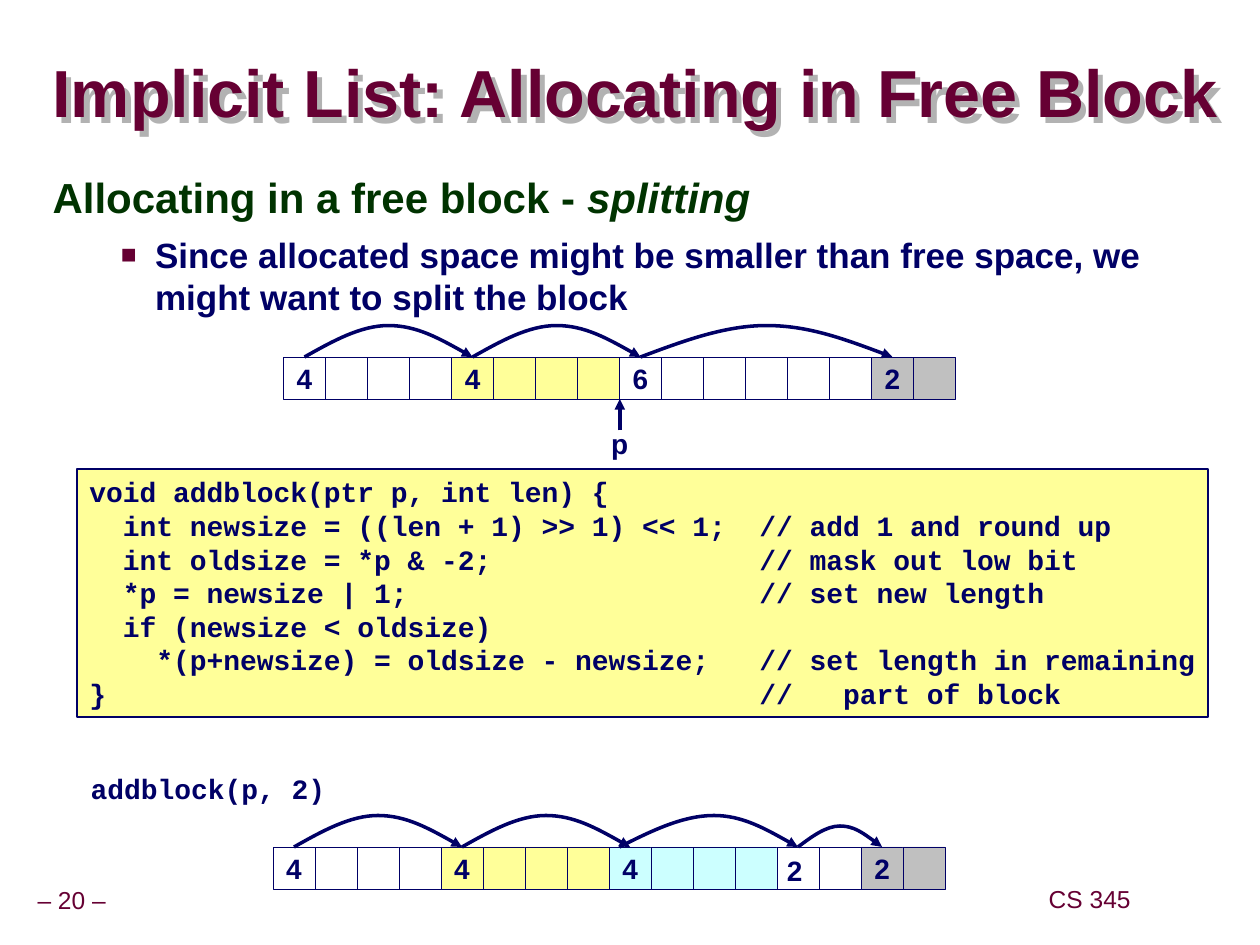
import lxml.etree
import pptx
import pptx.dml.color
import pptx.enum.shapes
import pptx.enum.text
import pptx.oxml
import pptx.oxml.ns
import pptx.util

Pt = pptx.util.Pt
RGB = pptx.dml.color.RGBColor
ALIGN = pptx.enum.text.PP_ALIGN
MIDDLE = pptx.enum.text.MSO_ANCHOR.MIDDLE
RECT = pptx.enum.shapes.MSO_SHAPE.RECTANGLE
qn = pptx.oxml.ns.qn

MAROON = RGB(0x66, 0x00, 0x33)
GREEN = RGB(0x00, 0x33, 0x00)
NAVY = RGB(0x00, 0x00, 0x66)
WHITE = RGB(0xFF, 0xFF, 0xFF)
YELLOW = RGB(0xFF, 0xFF, 0x99)
CYAN = RGB(0xCC, 0xFF, 0xFF)
GRAY = RGB(0xC0, 0xC0, 0xC0)
SHADE = RGB(0xB2, 0xB2, 0xB2)

CELL = 24
CODE = """void addblock(ptr p, int len) {
  int newsize = ((len + 1) >> 1) << 1;  // add 1 and round up
  int oldsize = *p & -2;                // mask out low bit
  *p = newsize | 1;                     // set new length
  if (newsize < oldsize)
    *(p+newsize) = oldsize - newsize;   // set length in remaining
}                                       //   part of block"""


def write(shape, text, size, color, font="Arial", bold=True,
          align=ALIGN.LEFT, inset=(7.2, 3.6), wrap=False):
    """Set the text of a shape and format all its runs alike."""
    frame = shape.text_frame
    frame.text = text
    frame.word_wrap = wrap
    frame.auto_size = pptx.enum.text.MSO_AUTO_SIZE.NONE
    frame.margin_left = frame.margin_right = Pt(inset[0])
    frame.margin_top = frame.margin_bottom = Pt(inset[1])
    for para in frame.paragraphs:
        para.alignment = align
        for run in para.runs:
            run.font.size = Pt(size)
            run.font.name = font
            run.font.bold = bold
            run.font.color.rgb = color
    return frame


def arrow(shape):
    """Give a line or curve a navy stroke with an arrowhead at its end."""
    shape.line.color.rgb = NAVY
    shape.line.width = Pt(2)
    lxml.etree.SubElement(shape.line._ln, qn("a:tailEnd"), type="triangle")


deck = pptx.Presentation()
deck.slide_width, deck.slide_height = Pt(720), Pt(540)
slide = deck.slides.add_slide(deck.slide_layouts[5])
shapes = slide.shapes

# Title with a hard shadow
title = shapes.title
title.left, title.top, title.width, title.height = Pt(30), Pt(33), Pt(678), Pt(45)
frame = write(title, "Implicit List: Allocating in Free Block", 38, MAROON,
              inset=(0, 0), wrap=True)
frame.vertical_anchor = MIDDLE
frame.paragraphs[0].line_spacing = 0.87
title.fill.background()
glow = lxml.etree.SubElement(title._element.spPr, qn("a:effectLst"))
drop = lxml.etree.SubElement(glow, qn("a:outerShdw"), dist=str(Pt(4.24)),
                             dir="2700000", algn="ctr", rotWithShape="0")
lxml.etree.SubElement(drop, qn("a:srgbClr"), val=str(SHADE))

# Heading and bullet
body = shapes.add_textbox(Pt(23), Pt(96.3), Pt(654.5), Pt(411))
frame = write(body, "Allocating in a free block - \nSince allocated space might be "
              "smaller than free space, we might want to split the block",
              24, GREEN, wrap=True)
head, point = frame.paragraphs
head.line_spacing = 0.95
head.space_before = Pt(15)
word = head.add_run()
word.text = "splitting"
word.font.size = Pt(24)
word.font.name = "Arial"
word.font.bold = word.font.italic = True
word.font.color.rgb = GREEN
point.space_before = Pt(6.2)
point.runs[0].font.size = Pt(20)
point.runs[0].font.color.rgb = NAVY
props = point._p.get_or_add_pPr()
props.set("marL", str(Pt(58.5)))
props.set("indent", str(-Pt(19.5)))
tint = lxml.etree.SubElement(props, qn("a:buClr"))
lxml.etree.SubElement(tint, qn("a:srgbClr"), val=str(MAROON))
lxml.etree.SubElement(props, qn("a:buSzPct"), val="75000")
lxml.etree.SubElement(props, qn("a:buFont"), typeface="Arial")
lxml.etree.SubElement(props, qn("a:buChar"), char="■")

# Code panel
panel = shapes.add_shape(RECT, Pt(44), Pt(267.9), Pt(646.5), Pt(141.8))
panel.shadow.inherit = False
panel.fill.solid()
panel.fill.fore_color.rgb = YELLOW
panel.line.color.rgb = NAVY
panel.line.width = Pt(1)
write(panel, CODE, 16, NAVY, "Courier New").vertical_anchor = pptx.enum.text.MSO_ANCHOR.TOP

# Heaps: left, top, blocks (size, label, fill), arcs (from, peak, to cell, height)
heaps = (
    (162, 204,
     ((4, "4", WHITE), (4, "4", YELLOW), (6, "6", WHITE), (2, "2", GRAY)),
     ((0, 2, 4, 18), (4, 6, 8, 18), (8, 11, 14, 18))),
    (156, 484,
     ((4, "4", WHITE), (4, "4", YELLOW), (4, "4", CYAN), (2, "", WHITE), (2, "2", GRAY)),
     ((0, 2, 4, 18), (4, 6, 8, 18), (7.75, 10, 12, 18), (12, 13, 14, 12))),
)
for left, top, blocks, arcs in heaps:
    x = left
    for size, label, fill in blocks:
        for slot in range(size):
            cell = shapes.add_shape(RECT, Pt(x), Pt(top), Pt(CELL), Pt(CELL))
            cell.shadow.inherit = False
            cell.fill.solid()
            cell.fill.fore_color.rgb = fill
            cell.line.color.rgb = NAVY
            cell.line.width = Pt(0.25)
            if slot == 0 and label:
                frame = write(cell, label, 16, NAVY, align=ALIGN.CENTER)
                frame.vertical_anchor = MIDDLE
            x += CELL
    for start, peak, end, rise in arcs:
        begin, crest, stop = (left + (spot + 0.5) * CELL for spot in (start, peak, end))
        up, down = (crest - begin) / 3, (stop - crest) / 3
        high, half = top - rise, top - rise / 2
        dots = ((begin + up, half), (crest - up, high), (crest, high),
                (crest + down, high), (stop - down, half), (stop, top))
        path = shapes.build_freeform(Pt(begin), Pt(top))
        path.add_line_segments([(Pt(h), Pt(v)) for h, v in dots], close=False)
        arc = path.convert_to_shape()
        # Turn each three straight segments into one cubic curve
        legs = list(arc._element.iter(qn("a:lnTo")))
        for first in (0, 3):
            curve = lxml.etree.Element(qn("a:cubicBezTo"))
            legs[first].addprevious(curve)
            for leg in legs[first:first + 3]:
                curve.append(leg[0])
                leg.getparent().remove(leg)
        arc.shadow.inherit = False
        arc.fill.background()
        arrow(arc)

# Pointer to the free block
link = shapes.add_connector(pptx.enum.shapes.MSO_CONNECTOR.STRAIGHT,
                            Pt(354.2), Pt(246), Pt(354.2), Pt(228))
arrow(link)
lxml.etree.SubElement(link._element.spPr, qn("a:effectLst"))

# Footer, pointer label, size of the split-off block and call
for text, left, top, width, height, size, color, font, bold, align, inset in (
    ("– 20 –", -6.3, 504, 94.5, 22.5, 14, MAROON, "Arial", False, ALIGN.CENTER, 3.6),
    ("CS 345", 595.7, 503.5, 54, 22.5, 14, MAROON, "Arial", False, ALIGN.CENTER, 3.6),
    ("p", 342.2, 240, 24, 26.5, 16, NAVY, "Arial", True, ALIGN.LEFT, 7.2),
    ("2", 442.6, 484, 23.3, 26.5, 16, NAVY, "Arial", True, ALIGN.LEFT, 7.2),
    ("addblock(p, 2)", 48.4, 439.5, 141, 24.5, 16, NAVY, "Courier New", True,
     ALIGN.CENTER, 3.6),
):
    box = shapes.add_textbox(Pt(left), Pt(top), Pt(width), Pt(height))
    frame = write(box, text, size, color, font, bold, align, (inset, 3.6))
    if align == ALIGN.CENTER:
        frame.paragraphs[0].line_spacing = 0.9

deck.save("out.pptx")
